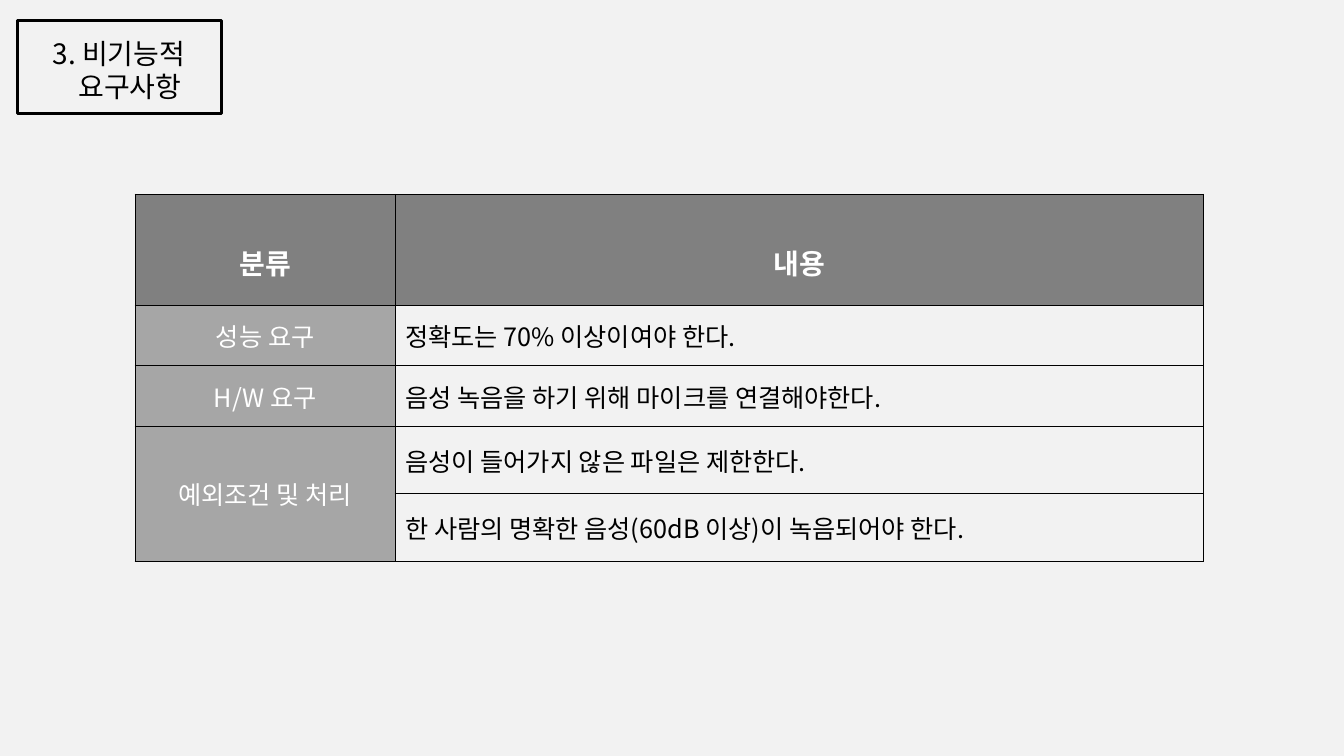
from lxml import etree
from pptx import Presentation
from pptx.dml.color import RGBColor
from pptx.enum.shapes import MSO_SHAPE
from pptx.enum.text import MSO_ANCHOR, PP_ALIGN
from pptx.oxml.ns import qn
from pptx.util import Inches, Pt

RECTANGLE = MSO_SHAPE.RECTANGLE
MIDDLE = MSO_ANCHOR.MIDDLE
LEFT, CENTER = PP_ALIGN.LEFT, PP_ALIGN.CENTER

FONT = "Noto Sans CJK KR"
BACKGROUND, BLACK, WHITE = "F2F2F2", "000000", "FFFFFF"
HEADER_FILL, CATEGORY_FILL = "808080", "A6A6A6"

COLUMN_WIDTHS = [2.58, 8.02]
ROW_HEIGHTS = [1.1, 0.6, 0.6, 0.67, 0.67]
HEADINGS = ["분류", "내용"]
REQUIREMENTS = [
    ("성능 요구", ["정확도는 70% 이상이여야 한다."]),
    ("H/W 요구", ["음성 녹음을 하기 위해 마이크를 연결해야한다."]),
    ("예외조건 및 처리", ["음성이 들어가지 않은 파일은 제한한다.",
                    "한 사람의 명확한 음성(60dB 이상)이 녹음되어야 한다."]),
]


def color(value):
    return RGBColor.from_string(value)


def inches(*values):
    return [Inches(value) for value in values]


def write(paragraph, text, size, text_color, alignment=CENTER, bold=False):
    paragraph.text = text
    paragraph.alignment = alignment
    font = paragraph.font
    font.name, font.size, font.bold = FONT, Pt(size), bold
    font.color.rgb = color(text_color)
    # Korean glyphs take the East Asian typeface
    defaults = paragraph._p.pPr.find(qn("a:defRPr"))
    etree.SubElement(defaults, qn("a:ea"), typeface=FONT)


def add_frame(slide, *place):
    frame = slide.shapes.add_shape(RECTANGLE, *inches(*place))
    frame.shadow.inherit = False
    frame.fill.background()
    frame.line.color.rgb = color(BLACK)
    frame.line.width = Pt(2)


def add_title(slide, lines, second_line_indent, *place):
    text_frame = slide.shapes.add_textbox(*inches(*place)).text_frame
    text_frame.word_wrap = True
    first = text_frame.paragraphs[0]
    second = text_frame.add_paragraph()
    for paragraph, line in zip((first, second), lines):
        write(paragraph, line, 20, BLACK)
    second._p.pPr.set("marL", str(Inches(second_line_indent)))


def set_borders(cell):
    properties = cell._tc.get_or_add_tcPr()
    for position, side in enumerate(("lnL", "lnR", "lnT", "lnB")):
        border = etree.Element(qn(f"a:{side}"), w=str(Pt(1)))
        fill = etree.SubElement(border, qn("a:solidFill"))
        etree.SubElement(fill, qn("a:srgbClr"), val=BLACK)
        properties.insert(position, border)


def fill_cell(cell, text, size, text_color, fill=None, **style):
    cell.vertical_anchor = MIDDLE
    if fill:
        cell.fill.solid()
        cell.fill.fore_color.rgb = color(fill)
    write(cell.text_frame.paragraphs[0], text, size, text_color, **style)


def add_requirements_table(slide, left, top):
    table = slide.shapes.add_table(
        len(ROW_HEIGHTS), len(COLUMN_WIDTHS),
        *inches(left, top, sum(COLUMN_WIDTHS), sum(ROW_HEIGHTS))).table
    table.first_row = table.horz_banding = False
    for column, width in zip(table.columns, COLUMN_WIDTHS):
        column.width = Inches(width)
    for row, height in zip(table.rows, ROW_HEIGHTS):
        row.height = Inches(height)
    for cell in table.iter_cells():
        cell.fill.background()
        set_borders(cell)

    # Header row
    for column, heading in enumerate(HEADINGS):
        cell = table.cell(0, column)
        fill_cell(cell, heading, 20, WHITE, HEADER_FILL, bold=True)
        cell.text_frame.paragraphs[0].line_spacing = 1.6
        cell.margin_left = cell.margin_right = Inches(0.07)
        cell.margin_top = cell.margin_bottom = Inches(0.02)

    # Each category spans all of its requirements
    row = 1
    for category, contents in REQUIREMENTS:
        category_cell = table.cell(row, 0)
        if len(contents) > 1:
            category_cell.merge(table.cell(row + len(contents) - 1, 0))
        fill_cell(category_cell, category, 18, WHITE, CATEGORY_FILL)
        for content in contents:
            fill_cell(table.cell(row, 1), content, 18, BLACK, alignment=LEFT)
            row += 1


def main():
    presentation = Presentation()
    presentation.slide_width, presentation.slide_height = inches(13.33, 7.5)
    slide = presentation.slides.add_slide(presentation.slide_layouts[6])
    slide.background.fill.solid()
    slide.background.fill.fore_color.rgb = color(BACKGROUND)

    add_frame(slide, 0.17, 0.2, 2.03, 0.93)
    add_title(slide, ["3. 비기능적", "요구사항"], 0.22, 0.13, 0.31, 2.1, 0.77)
    add_requirements_table(slide, 1.34, 1.93)
    presentation.save("out.pptx")


main()
